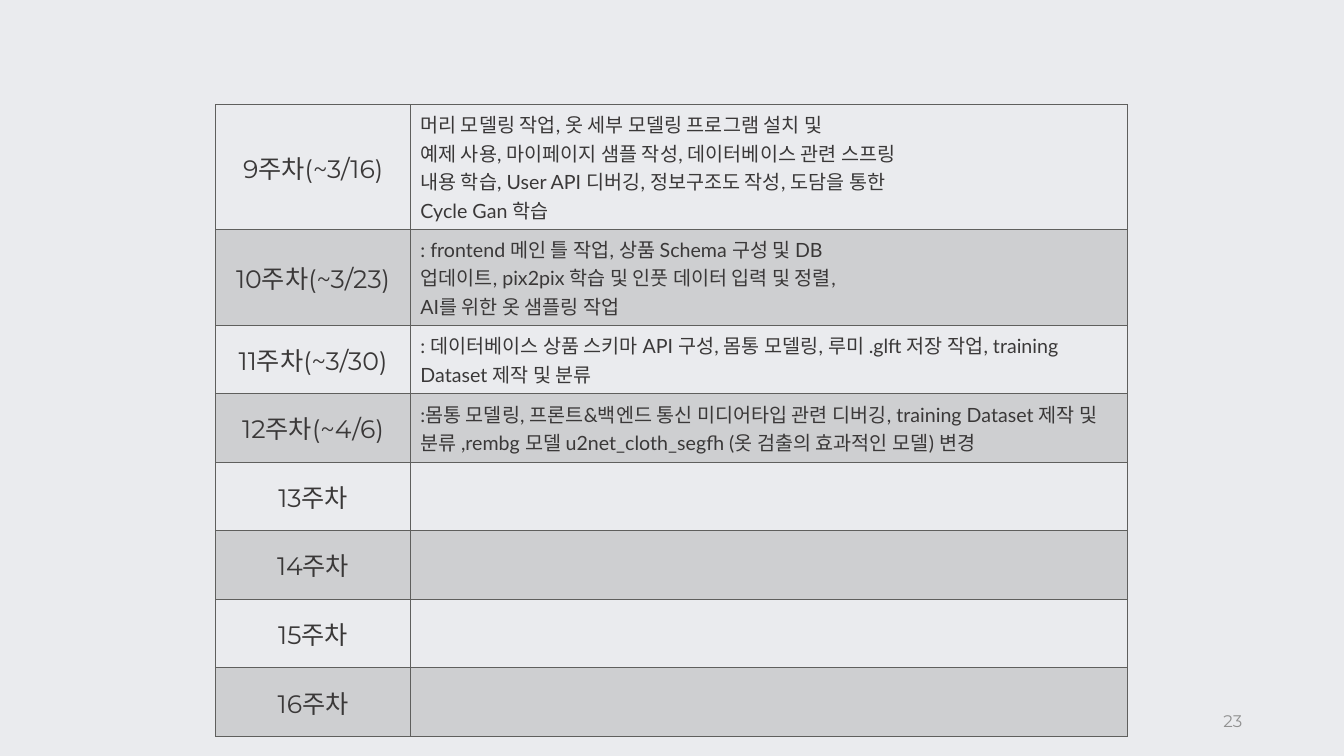
from lxml import etree
from pptx import Presentation
from pptx.dml.color import RGBColor
from pptx.enum import text
from pptx.oxml import ns
from pptx.util import Inches, Pt

HUES = {"back": "EAEBEE", "ink": "3A3838", "rule": "5F5F5D", "page": "919191"}
WEEK = {"size": Pt(18), "name": "Montserrat", "bold": False}
TASK = {"size": Pt(14), "name": "Lato", "bold": False}
PAGE = {"size": Pt(12), "name": "Montserrat"}
COLS = (1.93, 7.11)
ROW = 0.68
PLAN = [
    ("9주차(~3/16)", ["머리 모델링 작업, 옷 세부 모델링 프로그램 설치 및",
                    "예제 사용, 마이페이지 샘플 작성, 데이터베이스 관련 스프링",
                    "내용 학습, User API 디버깅, 정보구조도 작성, 도담을 통한",
                    "Cycle Gan 학습"]),
    ("10주차(~3/23)", [": frontend 메인 틀 작업, 상품 Schema 구성 및 DB",
                     "업데이트, pix2pix 학습 및 인풋 데이터 입력 및 정렬,",
                     "AI를 위한 옷 샘플링 작업"]),
    ("11주차(~3/30)", [": 데이터베이스 상품 스키마 API 구성, 몸통 모델링, 루미 .glft 저장 작업, "
                     "training Dataset 제작 및 분류"]),
    ("12주차(~4/6)", [":몸통 모델링, 프론트&백엔드 통신 미디어타입 관련 디버깅, "
                    "training Dataset 제작 및 분류 ,rembg 모델 "
                    "u2net_cloth_segfh (옷 검출의 효과적인 모델) 변경"]),
    ("13주차", []),
    ("14주차", []),
    ("15주차", []),
    ("16주차", []),
]


def hue(key):
    return RGBColor.from_string(HUES[key])


def write(frame, lines, form, ink, align):
    for i, line in enumerate(lines):
        para = frame.add_paragraph() if i else frame.paragraphs[0]
        para.alignment = align
        run = para.add_run()
        run.text = line
        for key, val in form.items():
            setattr(run.font, key, val)
        run.font.color.rgb = hue(ink)


def paint(cell, shade):
    """Fill a cell with a light tint or nothing, then rule its four sides."""
    props = cell._tc.get_or_add_tcPr()
    if shade:
        cell.fill.solid()
        cell.fill.fore_color.rgb = hue("rule")
        tint = props.find(".//" + ns.qn("a:srgbClr"))
        etree.SubElement(tint, ns.qn("a:alpha"), val="20000")
    else:
        cell.fill.background()
    for i, side in enumerate("LRTB"):
        line = etree.Element(ns.qn("a:ln" + side), w=str(Pt(1)))
        fill = etree.SubElement(line, ns.qn("a:solidFill"))
        etree.SubElement(fill, ns.qn("a:srgbClr"), val=HUES["rule"])
        props.insert(i, line)


def add_plan(slide, left, top):
    grid = slide.shapes.add_table(
        len(PLAN), len(COLS), Inches(left), Inches(top),
        Inches(sum(COLS)), Inches(ROW * len(PLAN))).table
    grid.first_row = grid.horz_banding = False
    for col, width in zip(grid.columns, COLS):
        col.width = Inches(width)
    for i, (week, tasks) in enumerate(PLAN):
        grid.rows[i].height = Inches(ROW)
        for cell in grid.rows[i].cells:
            cell.vertical_anchor = text.MSO_ANCHOR.MIDDLE
            paint(cell, i % 2)
        name, note = grid.rows[i].cells
        write(name.text_frame, [week], WEEK, "ink", text.PP_ALIGN.CENTER)
        write(note.text_frame, tasks, TASK, "ink", text.PP_ALIGN.LEFT)


def add_page(slide, left, top, width, height):
    box = slide.shapes.add_textbox(*map(Inches, (left, top, width, height)))
    frame = box.text_frame
    frame.word_wrap = True
    frame.vertical_anchor = text.MSO_ANCHOR.MIDDLE
    write(frame, ["23"], PAGE, "page", text.PP_ALIGN.RIGHT)


def main():
    deck = Presentation()
    deck.slide_width, deck.slide_height = Inches(13.33), Inches(7.5)
    slide = deck.slides.add_slide(deck.slide_layouts[6])
    slide.background.fill.solid()
    slide.background.fill.fore_color.rgb = hue("back")
    add_plan(slide, 2.14, 1.04)
    add_page(slide, 9.42, 6.95, 3, 0.4)
    deck.save("out.pptx")


if __name__ == "__main__":
    main()
